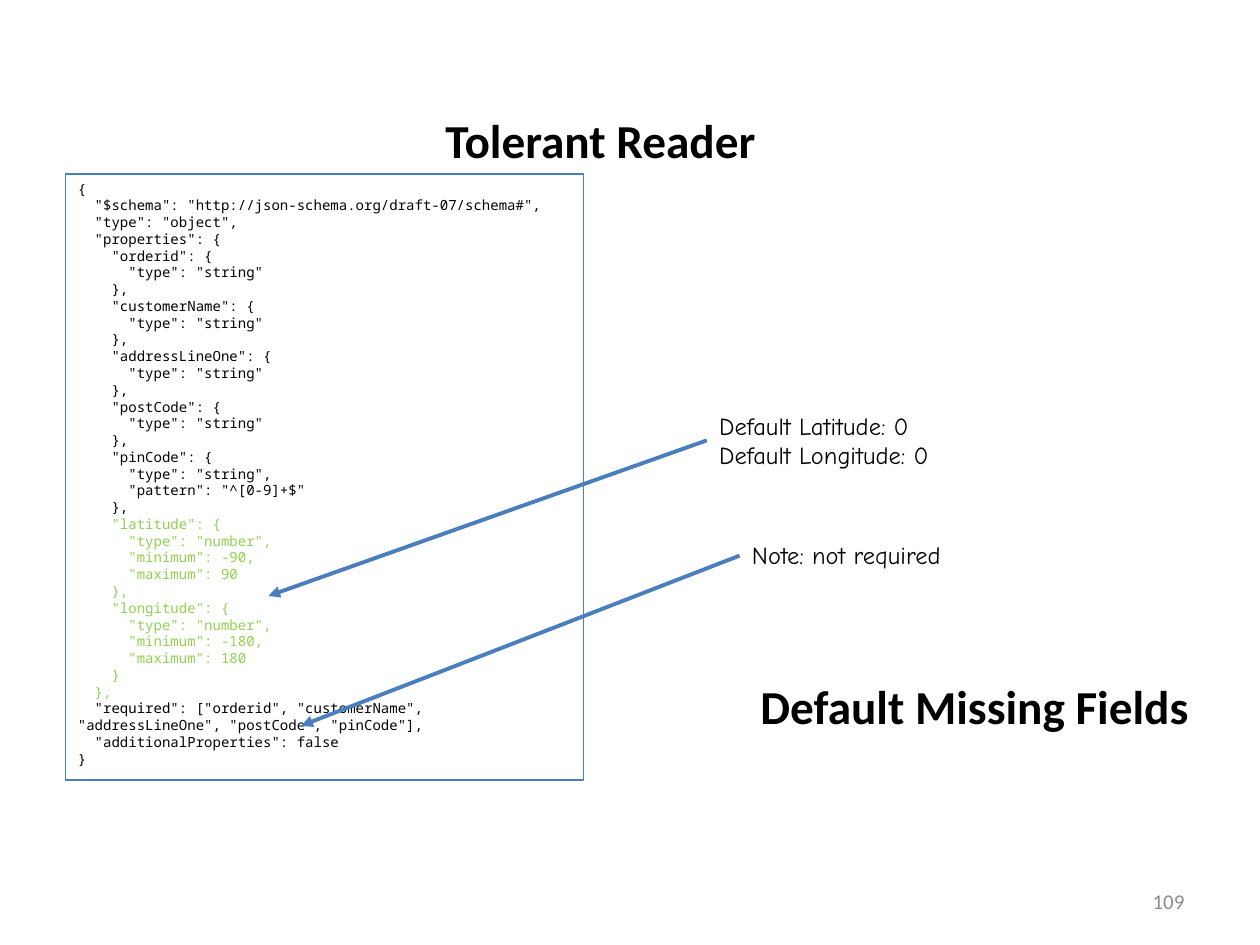
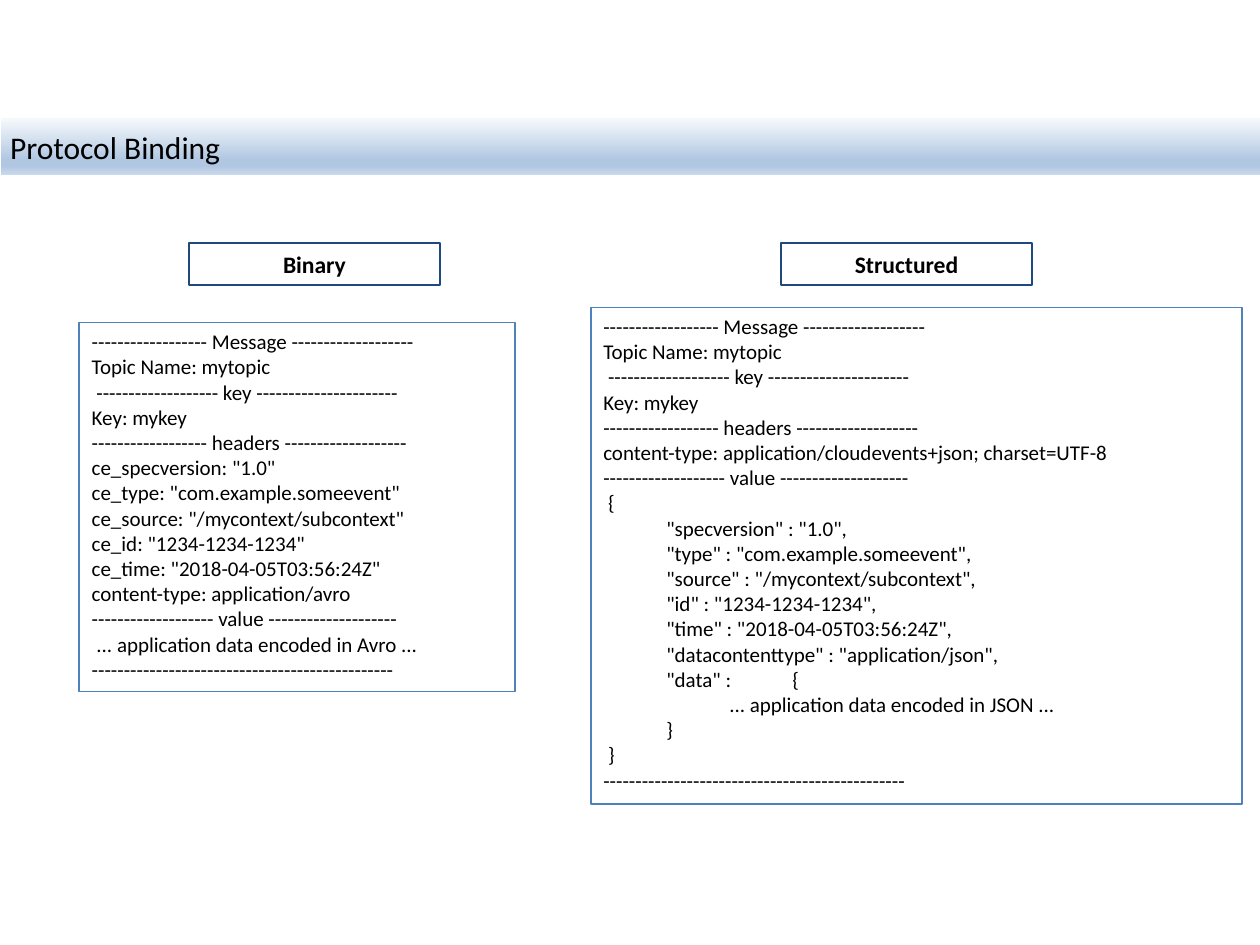
import pptx
import pptx.dml.color
import pptx.enum.shapes
import pptx.enum.text
import pptx.oxml
import pptx.oxml.ns
import pptx.util

SCHEMA = """{
  "$schema": "http://json-schema.org/draft-07/schema#",
  "type": "object",
  "properties": {
    "orderid": {
      "type": "string"
    },
    "customerName": {
      "type": "string"
    },
    "addressLineOne": {
      "type": "string"
    },
    "postCode": {
      "type": "string"
    },
    "pinCode": {
      "type": "string",
      "pattern": "^[0-9]+$"
    },
    "latitude": {
      "type": "number",
      "minimum": -90,
      "maximum": 90
    },
    "longitude": {
      "type": "number",
      "minimum": -180,
      "maximum": 180
    }
  },
  "required": ["orderid", "customerName", "addressLineOne", "postCode", "pinCode"],
  "additionalProperties": false
}"""
OPTIONAL_LINES = range(20, 31)

# Parts common to both message listings
MESSAGE_HEAD = """------------------ Message -------------------
Topic Name: mytopic
 ------------------- key ----------------------
Key: mykey
------------------ headers -------------------"""
VALUE_RULE = "------------------- value --------------------"
END_RULE = "-" * 47

BINARY = f"""{MESSAGE_HEAD} ce_specversion: "1.0"
ce_type: "com.example.someevent"
ce_source: "/mycontext/subcontext"
ce_id: "1234-1234-1234"
ce_time: "2018-04-05T03:56:24Z"
content-type: application/avro
{VALUE_RULE}
 ... application data encoded in Avro ...
{END_RULE}"""

STRUCTURED = f"""{MESSAGE_HEAD}
content-type: application/cloudevents+json; charset=UTF-8
{VALUE_RULE}
 {{
\t"specversion" : "1.0",
\t"type" : "com.example.someevent",
\t"source" : "/mycontext/subcontext",
\t"id" : "1234-1234-1234",
\t"time" : "2018-04-05T03:56:24Z",
\t"datacontenttype" : "application/json",
\t"data" : \t{{
\t\t... application data encoded in JSON ...
\t}}
 }}
{END_RULE}"""

ALIGN = pptx.enum.text.PP_ALIGN
ANCHOR = pptx.enum.text.MSO_ANCHOR


def rgb(value):
    return pptx.dml.color.RGBColor.from_string(value)


def element(xml):
    """Parse a drawing element, adding the namespace to its first tag."""
    name, rest = xml[1:].split(" ", 1)
    return pptx.oxml.parse_xml(f"<{name} {pptx.oxml.ns.nsdecls('a')} {rest}")


def write(shape, text, font="Calibri", size=12, color="000000", bold=False,
          align=ALIGN.LEFT, anchor=ANCHOR.TOP, inset=None,
          highlight=(), highlight_color="92D050"):
    """Fill a shape with one paragraph per line of text."""
    frame = shape.text_frame
    frame.word_wrap = True
    frame.auto_size = pptx.enum.text.MSO_AUTO_SIZE.NONE
    frame.vertical_anchor = anchor
    if inset is not None:
        frame.margin_left = frame.margin_right = pptx.util.Inches(inset)
        frame.margin_top = frame.margin_bottom = pptx.util.Inches(inset)
    for number, line in enumerate(text.split("\n")):
        paragraph = frame.add_paragraph() if number else frame.paragraphs[0]
        paragraph.alignment = align
        if "\t" in line:
            stops = "".join(f'<a:tab pos="{pptx.util.Inches(step / 2)}" algn="l"/>'
                            for step in range(1, 4))
            paragraph._p.get_or_add_pPr().append(
                element(f"<a:tabLst >{stops}</a:tabLst>"))
        run = paragraph.add_run()
        run.text = line
        run.font.name = font
        run.font.size = pptx.util.Pt(size)
        run.font.bold = bold
        run.font.color.rgb = rgb(highlight_color if number in highlight else color)


class Deck:
    """Shared style and the current slide, on a grid of 100 columns by 75 rows."""
    COLUMNS, ROWS = 100, 75
    ARROW, FRAME, LABEL = "4B7EBC", "4F81BD", "1F497D"
    HEADING = dict(size=27, bold=True, align=ALIGN.CENTER, anchor=ANCHOR.MIDDLE)
    BAND_STOPS = ((0, "F6F9FC"), (74, "B0C6E1"), (83, "B0C6E1"), (100, "CAD9EB"))

    def __init__(self):
        self.presentation = pptx.Presentation()
        self.presentation.slide_width = pptx.util.Inches(10)
        self.presentation.slide_height = pptx.util.Inches(7.5)
        self.slide = None

    def point(self, column, row):
        return (round(self.presentation.slide_width * column / self.COLUMNS),
                round(self.presentation.slide_height * row / self.ROWS))

    def area(self, column, row, columns, rows):
        return self.point(column, row) + self.point(columns, rows)

    def add_slide(self):
        title_only = self.presentation.slide_layouts[5]
        self.slide = self.presentation.slides.add_slide(title_only)

    def title(self, text, place, **text_format):
        shape = self.slide.shapes.title
        shape.left, shape.top, shape.width, shape.height = self.area(*place)
        write(shape, text, **text_format)
        return shape

    def band_title(self, text):
        shape = self.title(text, (0.1, 9.4, 99.9, 4.5), size=18,
                           anchor=ANCHOR.MIDDLE, inset=0.07)
        stops = "".join(f'<a:gs pos="{share * 1000}"><a:srgbClr val="{color}"/></a:gs>'
                        for share, color in self.BAND_STOPS)
        shape.fill.gradient()
        gradient = shape._element.spPr.find(pptx.oxml.ns.qn("a:gradFill"))
        gradient.getparent().replace(gradient, element(
            f'<a:gradFill rotWithShape="1"><a:gsLst>{stops}</a:gsLst>'
            '<a:lin ang="5400000" scaled="0"/></a:gradFill>'))

    def text(self, text, place, **text_format):
        write(self.slide.shapes.add_textbox(*self.area(*place)), text, **text_format)

    def box(self, text, place, line=FRAME, width=1, **text_format):
        shape = self.slide.shapes.add_shape(
            pptx.enum.shapes.MSO_SHAPE.RECTANGLE, *self.area(*place))
        shape.shadow.inherit = False
        shape.fill.background()
        shape.line.color.rgb = rgb(line)
        shape.line.width = pptx.util.Pt(width)
        write(shape, text, **text_format)

    def label(self, text, column):
        self.box(text, (column, 19.3, 19.9, 3.3), line=self.LABEL, size=13.5,
                 bold=True, align=ALIGN.CENTER, anchor=ANCHOR.MIDDLE)

    def arrow(self, start, end):
        connector = self.slide.shapes.add_connector(
            pptx.enum.shapes.MSO_CONNECTOR.STRAIGHT,
            *self.point(*start), *self.point(*end))
        connector.line.color.rgb = rgb(self.ARROW)
        connector.line.width = pptx.util.Pt(2.25)
        connector.line._get_or_add_ln().append(element('<a:tailEnd type="triangle"/>'))
        connector._element.spPr.append(element("<a:effectLst />"))

    def page_number(self, number):
        self.text(str(number), (71.7, 69.5, 23.3, 4), color="8C8C8C",
                  align=ALIGN.RIGHT, anchor=ANCHOR.MIDDLE)


def tolerant_reader(deck):
    deck.add_slide()
    deck.title("Tolerant Reader", (29, 8.3, 37.3, 5.6), **deck.HEADING)
    deck.text("Default Missing Fields", (58.7, 53.2, 37.3, 5.6), **deck.HEADING)
    deck.box(SCHEMA, (5.2, 13.8, 41.1, 48.1), line=deck.ARROW, width=0.75,
             font="Noto Sans Mono", size=8, highlight=OPTIONAL_LINES)

    # Notes with arrows into the schema
    notes = (
        ("Default Latitude: 0\nDefault Longitude: 0",
         (56.1, 32.1, 20.2, 5.7), (21.3, 47.3)),
        ("Note: not required", (58.7, 42.4, 18.3, 3.4), (23.9, 57.6)),
    )
    for text, place, target in notes:
        column, row, _, rows = place
        deck.text(text, place, font="Comic Neue", size=14)
        deck.arrow((column, row + rows / 2), target)
    deck.page_number(109)


def protocol_binding(deck):
    deck.add_slide()
    deck.band_title("Protocol Binding")
    deck.label("Binary", 15)
    deck.box(BINARY, (6.3, 25.6, 34.6, 29.3))
    deck.label("Structured", 62)
    deck.box(STRUCTURED, (46.9, 24.4, 51.7, 39.4))


def main():
    deck = Deck()
    tolerant_reader(deck)
    protocol_binding(deck)
    deck.presentation.save("out.pptx")


if __name__ == "__main__":
    main()
